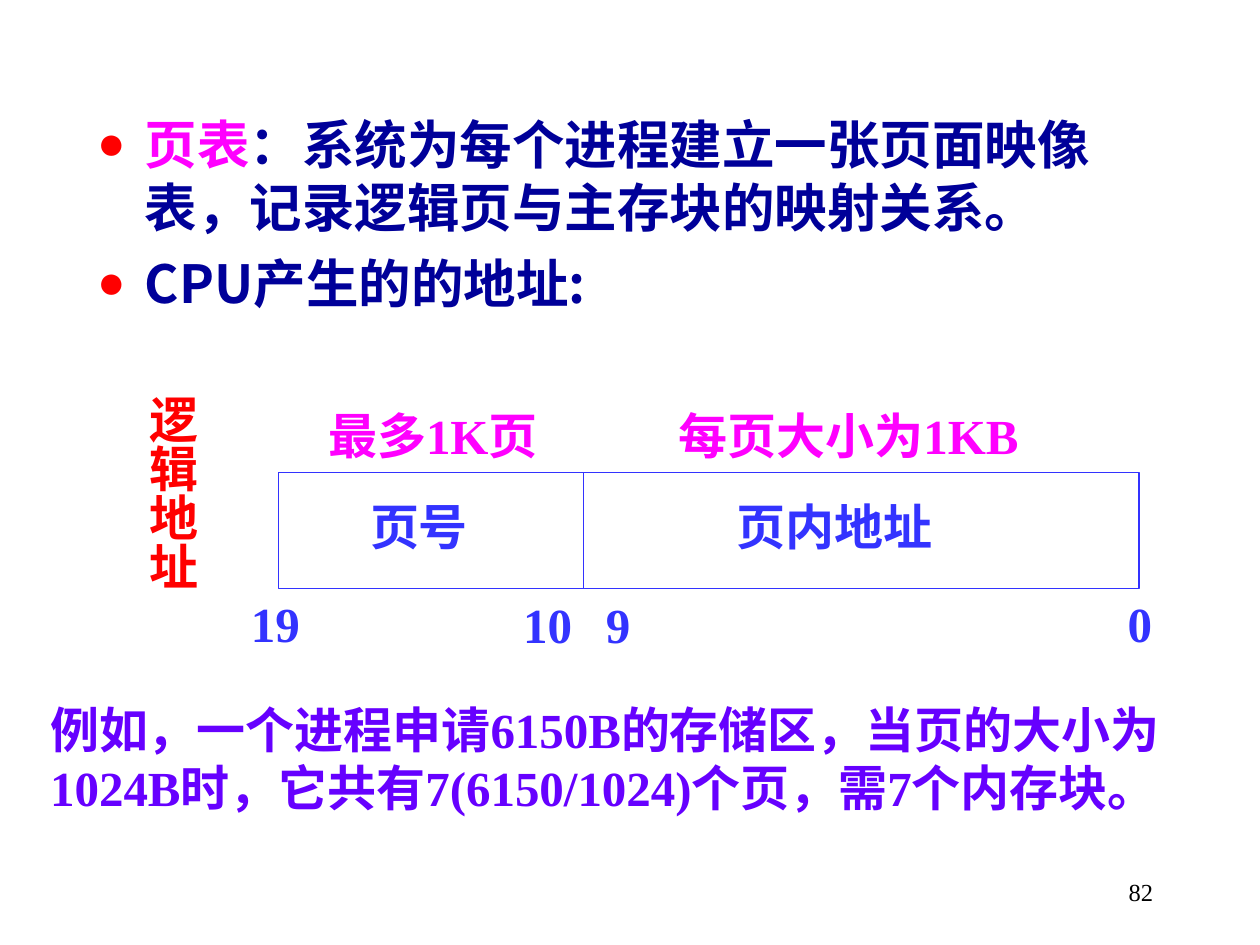
"""Build the slide on page tables and the layout of a logical address."""
from lxml import etree
from pptx import Presentation
from pptx.dml.color import RGBColor
from pptx.enum.shapes import MSO_CONNECTOR, MSO_SHAPE
from pptx.enum.text import MSO_ANCHOR, MSO_AUTO_SIZE, PP_ALIGN
from pptx.oxml.ns import qn
from pptx.util import Inches, Pt

LEFT, CENTER, RIGHT = PP_ALIGN.LEFT, PP_ALIGN.CENTER, PP_ALIGN.RIGHT
TOP, MIDDLE = MSO_ANCHOR.TOP, MSO_ANCHOR.MIDDLE
NO_FIT, GROW = MSO_AUTO_SIZE.NONE, MSO_AUTO_SIZE.SHAPE_TO_FIT_TEXT
RECTANGLE, STRAIGHT = MSO_SHAPE.RECTANGLE, MSO_CONNECTOR.STRAIGHT

BLACK = RGBColor(0x00, 0x00, 0x00)
WHITE = RGBColor(0xFF, 0xFF, 0xFF)
RED = RGBColor(0xFF, 0x00, 0x00)
MAGENTA = RGBColor(0xFF, 0x00, 0xFF)
NAVY = RGBColor(0x00, 0x00, 0x99)
BLUE = RGBColor(0x33, 0x33, 0xFF)
VIOLET = RGBColor(0x66, 0x00, 0xFF)
SERIF, CJK = "Times New Roman", "Noto Sans CJK SC"


def add_run(paragraph, text, color, size=28, font=SERIF, bold=True):
    run = paragraph.add_run()
    run.text = text
    run.font.size = Pt(size)
    run.font.bold = bold
    run.font.name = font
    run.font.color.rgb = color
    east_asian = etree.SubElement(run.font._element, qn("a:ea"))
    east_asian.set("typeface", CJK)


def add_label(text, left, top, width, height, align=CENTER, anchor=TOP,
              wrap=False, fit=GROW, **style):
    label = slide.shapes.add_textbox(
        Inches(left), Inches(top), Inches(width), Inches(height))
    frame = label.text_frame
    frame.word_wrap = wrap
    frame.auto_size = fit
    frame.vertical_anchor = anchor
    for index, line in enumerate(text.split("\n")):
        paragraph = frame.add_paragraph() if index else frame.paragraphs[0]
        paragraph.alignment = align
        add_run(paragraph, line, **style)
    return frame


prs = Presentation()
prs.slide_width, prs.slide_height = Inches(10), Inches(7.5)
slide = prs.slides.add_slide(prs.slide_layouts[1])
title = slide.shapes.title.element
title.getparent().remove(title)

add_label("82", 7.17, 6.83, 2.08, 0.5, align=RIGHT, anchor=MIDDLE, wrap=True,
          fit=NO_FIT, color=BLACK, size=14, bold=False)

definitions = slide.placeholders[1]
definitions.left, definitions.top = Inches(0.67), Inches(0.84)
definitions.width, definitions.height = Inches(8.83), Inches(1.98)
definitions.text_frame.auto_size = NO_FIT
points = [
    [("页表", MAGENTA),
     ("：系统为每个进程建立一张页面映像表，记录逻辑页与主存块的映射关系。", NAVY)],
    [("CPU产生的的地址:", NAVY)],
]
for index, point in enumerate(points):
    frame = definitions.text_frame
    paragraph = frame.add_paragraph() if index else frame.paragraphs[0]
    properties = paragraph._p.get_or_add_pPr()
    properties.set("marL", str(Inches(0.38)))
    properties.set("indent", str(-Inches(0.38)))
    properties.set("hangingPunct", "0")
    bullet_color = etree.SubElement(properties, qn("a:buClr"))
    etree.SubElement(bullet_color, qn("a:srgbClr")).set("val", str(RED))
    etree.SubElement(properties, qn("a:buSzPct")).set("val", "90000")
    etree.SubElement(properties, qn("a:buFont")).set("typeface", SERIF)
    etree.SubElement(properties, qn("a:buChar")).set("char", "●")
    paragraph.space_before = Pt(7.5 if index else 0)
    for text, color in point:
        add_run(paragraph, text, color, size=30, font=CJK)

address = slide.shapes.add_shape(
    RECTANGLE, Inches(2.21), Inches(3.75), Inches(6.83), Inches(0.92))
address.shadow.inherit = False
address.fill.solid()
address.fill.fore_color.rgb = WHITE
divider = slide.shapes.add_connector(
    STRAIGHT, Inches(4.63), Inches(3.75), Inches(4.63), Inches(4.67))
etree.SubElement(divider.line._get_or_add_ln().getparent(), qn("a:effectLst"))
for outlined in (address, divider):
    outlined.line.color.rgb = BLUE
    outlined.line.width = Pt(0.75)

field_labels = [
    ("页号", 2.82, 3.89, 1.01, BLUE),
    ("页内地址", 5.73, 3.89, 1.78, BLUE),
    ("19", 1.83, 4.66, 0.71, BLUE),
    ("10", 4.05, 4.67, 0.59, BLUE),
    ("9", 4.71, 4.67, 0.39, BLUE),
    ("0", 8.85, 4.66, 0.39, BLUE),
    ("最多1K页", 2.41, 3.17, 2.05, MAGENTA),
    ("每页大小为1KB", 5.08, 3.17, 3.31, MAGENTA),
]
for text, left, top, width, color in field_labels:
    add_label(text, left, top, width, 0.57, color=color)

add_label("例如，一个进程申请6150B的存储区，当页的大小为\n"
          "1024B时，它共有7(6150/1024)个页，需7个内存块。",
          0.3, 5.5, 9.44, 1.04, align=LEFT, color=VIOLET)

row_name = add_label("逻辑地址", 0.99, 3.04, 0.66, 1.97, wrap=True,
                     fit=NO_FIT, color=RED)
row_name.margin_left = row_name.margin_right = Inches(0.05)
row_name.margin_top = row_name.margin_bottom = Inches(0.1)
row_name._txBody.bodyPr.set("vert", "eaVert")

prs.save("out.pptx")
